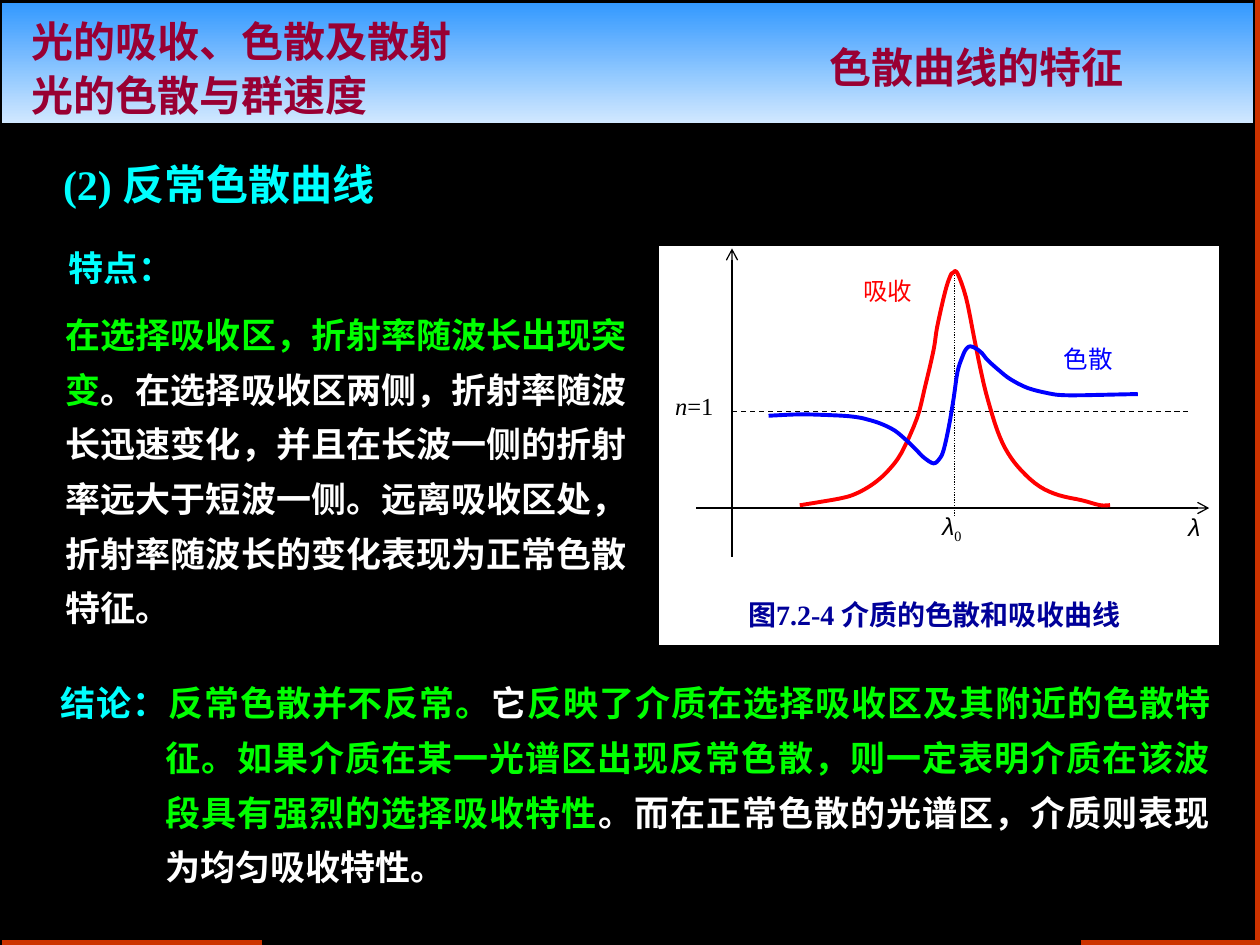
from lxml import etree
from pptx import Presentation
from pptx.dml.color import RGBColor
from pptx.enum.dml import MSO_LINE
from pptx.enum.shapes import MSO_CONNECTOR, MSO_SHAPE
from pptx.enum.text import MSO_ANCHOR, PP_ALIGN
from pptx.oxml.ns import qn
from pptx.util import Pt

LEFT, CENTER, JUSTIFY = PP_ALIGN.LEFT, PP_ALIGN.CENTER, PP_ALIGN.JUSTIFY
TOP, MIDDLE = MSO_ANCHOR.TOP, MSO_ANCHOR.MIDDLE
DASH, DOT = MSO_LINE.DASH, MSO_LINE.ROUND_DOT
STRAIGHT, RECTANGLE = MSO_CONNECTOR.STRAIGHT, MSO_SHAPE.RECTANGLE

SERIF, SANS, ARIAL = "Times New Roman", "Noto Sans CJK SC", "Arial"
COLORS = {key: RGBColor.from_string(value) for key, value in {
    "black": "000000", "white": "FFFFFF", "rust": "CC3300", "sky": "3399FF",
    "pale": "D1E8FF", "wine": "990033", "cyan": "00FFFF", "green": "00FF00",
    "navy": "000099", "red": "FF0000", "blue": "0000FF"}.items()}


def write(box, size, color, spans, font=SERIF, bold=False, align=LEFT,
          anchor=TOP, leading=1.2, hanging=0):
    """Fill a box with one paragraph; a span is (text, own settings)."""
    frame = box.text_frame
    frame.word_wrap = True
    frame.vertical_anchor = anchor
    frame.margin_left = frame.margin_right = 0
    frame.margin_top = frame.margin_bottom = 0
    para = frame.paragraphs[0]
    para.alignment = align
    para.line_spacing = Pt(size * leading)
    if hanging:
        properties = para._p.get_or_add_pPr()
        properties.set("marL", str(Pt(hanging)))
        properties.set("indent", str(-Pt(hanging)))
    para.font.size, para.font.bold, para.font.name = Pt(size), bold, font
    para.font.color.rgb = COLORS[color]
    for text, own in spans:
        span = para.add_run()
        span.text = text
        if "font" in own:
            span.font.name = own["font"]
        if "color" in own:
            span.font.color.rgb = COLORS[own["color"]]
        if "italic" in own:
            span.font.italic = own["italic"]
        if "baseline" in own:
            span._r.get_or_add_rPr().set("baseline", own["baseline"])


def draw_line(shapes, start, end, color, width, dash=None, arrow=False):
    line = shapes.add_connector(STRAIGHT, *map(Pt, start + end))
    line.line.color.rgb = COLORS[color]
    line.line.width = Pt(width)
    if dash:
        line.line.dash_style = dash
    if arrow:
        etree.SubElement(line.line._get_or_add_ln(), qn("a:tailEnd"), type="arrow")
    etree.SubElement(line._element.spPr, qn("a:effectLst"))


deck = Presentation()
deck.slide_width, deck.slide_height = Pt(720), Pt(540)
page = deck.slides.add_slide(deck.slide_layouts[5])
page.background.fill.solid()
page.background.fill.fore_color.rgb = COLORS["black"]

# Border lines
for start, end in [((150, 538.5), (1, 538.5)), ((718.5, 540), (718.5, 0)),
                   ((717, 538.5), (618, 538.5))]:
    draw_line(page.shapes, start, end, "rust", 3)

# Header band
band = page.shapes.add_shape(RECTANGLE, Pt(1), Pt(1.5), Pt(715.5), Pt(69))
band.shadow.inherit = False
band.fill.gradient()
band.fill.gradient_angle = 270
for stop, position, color in zip(band.fill.gradient_stops, (0, 1), ("sky", "pale")):
    stop.position = position
    stop.color.rgb = COLORS[color]
band.line.color.rgb = COLORS["black"]
band.line.width = Pt(0.75)
for text, area, anchor in [
        ("光的吸收、色散及散射", (18, 6, 288, 34), MIDDLE),
        ("光的色散与群速度", (18, 36, 258, 36), MIDDLE),
        ("色散曲线的特征", (474, 24, 234, 30), TOP)]:
    box = page.shapes.add_textbox(*map(Pt, area))
    write(box, 24, "wine", [(text, {})], bold=True, anchor=anchor)

# Section title
title = page.shapes.title
title.left, title.top, title.width, title.height = map(Pt, (36, 84, 240, 42))
write(title, 24, "cyan", [("(2) ", {}), ("反常色散曲线", {"font": SANS})],
      bold=True, anchor=MIDDLE)

# Features
box = page.shapes.add_textbox(Pt(39), Pt(141), Pt(75), Pt(31))
write(box, 20, "cyan", [("特点：", {})], font=SANS, bold=True)
box = page.shapes.add_textbox(Pt(37.5), Pt(172), Pt(321), Pt(194))
write(box, 20, "white", [
    ("在选择吸收区，折射率随波长出现突变", {"color": "green"}),
    ("。在选择吸收区两侧，折射率随波长迅速变化，并且在长波一侧的折射率远大于短波一侧。"
     "远离吸收区处，折射率随波长的变化表现为正常色散特征。", {"font": SANS}),
], bold=True, align=JUSTIFY, leading=1.56)

# Conclusion
box = page.shapes.add_textbox(Pt(34.5), Pt(382.5), Pt(657), Pt(128))
write(box, 20, "green", [
    ("结论：", {"font": SANS, "color": "cyan"}),
    ("反常色散并不反常", {}),
    ("。", {"font": SANS}),
    ("它", {"font": SANS, "color": "white"}),
    ("反映了介质在选择吸收区及其附近的色散特征", {}),
    ("。", {"font": SANS}),
    ("如果介质在某一光谱区出现反常色散，则一定表明介质在该波段具有强烈的选择吸收特性", {}),
    ("。而在正常色散的光谱区，介质则表现为均匀吸收特性。",
     {"font": SANS, "color": "white"}),
], bold=True, align=JUSTIFY, leading=1.56, hanging=60)

# Figure panel and axes
figure = page.shapes.add_group_shape().shapes
panel = figure.add_shape(RECTANGLE, Pt(376), Pt(140), Pt(321), Pt(229))
panel.shadow.inherit = False
panel.fill.solid()
panel.fill.fore_color.rgb = COLORS["white"]
panel.line.color.rgb = COLORS["black"]
panel.line.width = Pt(0.75)
for start, end, dash, arrow in [
        ((398, 290.3), (691, 290.3), None, True),
        ((418.3, 318.2), (418.3, 142), None, True),
        ((418.3, 235), (679, 235), DASH, False),
        ((545.6, 295), (545.6, 155.5), DOT, False)]:
    draw_line(figure, start, end, "black", 0.75, dash, arrow)

# Smooth curves through their known points
absorption = [
    (457, 288.8), (469, 286.8), (479.5, 285), (487, 283), (494.5, 279.4),
    (501, 275), (507.5, 269), (515, 259), (524, 239), (528.5, 221.5),
    (533.5, 200), (535.5, 187), (540, 167), (543, 157.8), (544.5, 156),
    (547, 156), (552, 170), (556.5, 192.3), (561, 214.3), (564.5, 228.5),
    (570, 246.3), (576, 259), (584, 269.3), (594, 278), (605, 283),
    (618.5, 286), (628.5, 288.7), (634.3, 288.7)]
dispersion = [
    (439.2, 237.6), (453.6, 236.9), (464.4, 236.9), (481.7, 237.6),
    (490.3, 238.5), (496, 239.8), (503, 242), (511.2, 246), (518.4, 252),
    (524, 257.5), (528, 261.5), (533.5, 264.8), (537, 262), (539.3, 257),
    (542.2, 244), (545, 227.5), (547.2, 212.4), (550, 203.8), (552.2, 199.4),
    (555, 198), (560.2, 200.9), (564.5, 205.9), (571, 211.7), (577.4, 216.7),
    (587.5, 221.8), (599.8, 224.9), (607, 225.8), (617, 225.9),
    (631.4, 225.6), (650.2, 225.2)]
STEPS = 4
for points, color in [(absorption, "red"), (dispersion, "blue")]:
    padded = [points[0]] + points + [points[-1]]
    smooth = []
    for before, start, end, after in zip(padded, padded[1:], padded[2:], padded[3:]):
        for step in range(1, STEPS + 1):
            t = step / STEPS
            smooth.append(tuple(
                Pt(b + t / 2 * (c - a + t * (2 * a - 5 * b + 4 * c - d
                                             + t * (3 * b - a - 3 * c + d))))
                for a, b, c, d in zip(before, start, end, after)))
    builder = figure.build_freeform(*map(Pt, points[0]))
    builder.add_line_segments(smooth, close=False)
    curve = builder.convert_to_shape()
    curve.shadow.inherit = False
    curve.fill.background()
    curve.line.color.rgb = COLORS[color]
    curve.line.width = Pt(2.25)

# Figure labels
wavelength = ("λ", {"font": ARIAL, "italic": True})
for area, color, spans in [
        ((378, 223.5, 37.5, 24), "black", [("n", {"italic": True}), ("=1", {})]),
        ((529, 294.5, 30, 29), "black", [wavelength, ("0", {"baseline": "-25000"})]),
        ((672, 292.5, 21, 23), "black", [wavelength]),
        ((597.5, 196.5, 49, 24.5), "blue", [("色散", {})]),
        ((481, 157.5, 52.5, 24.5), "red", [("吸收", {})])]:
    write(figure.add_textbox(*map(Pt, area)), 14, color, spans, align=CENTER)
caption = figure.add_textbox(Pt(391.5), Pt(341.5), Pt(285), Pt(20))
write(caption, 16, "navy", [("图7.2-4 介质的色散和吸收曲线", {})],
      bold=True, align=CENTER)

deck.save("out.pptx")
